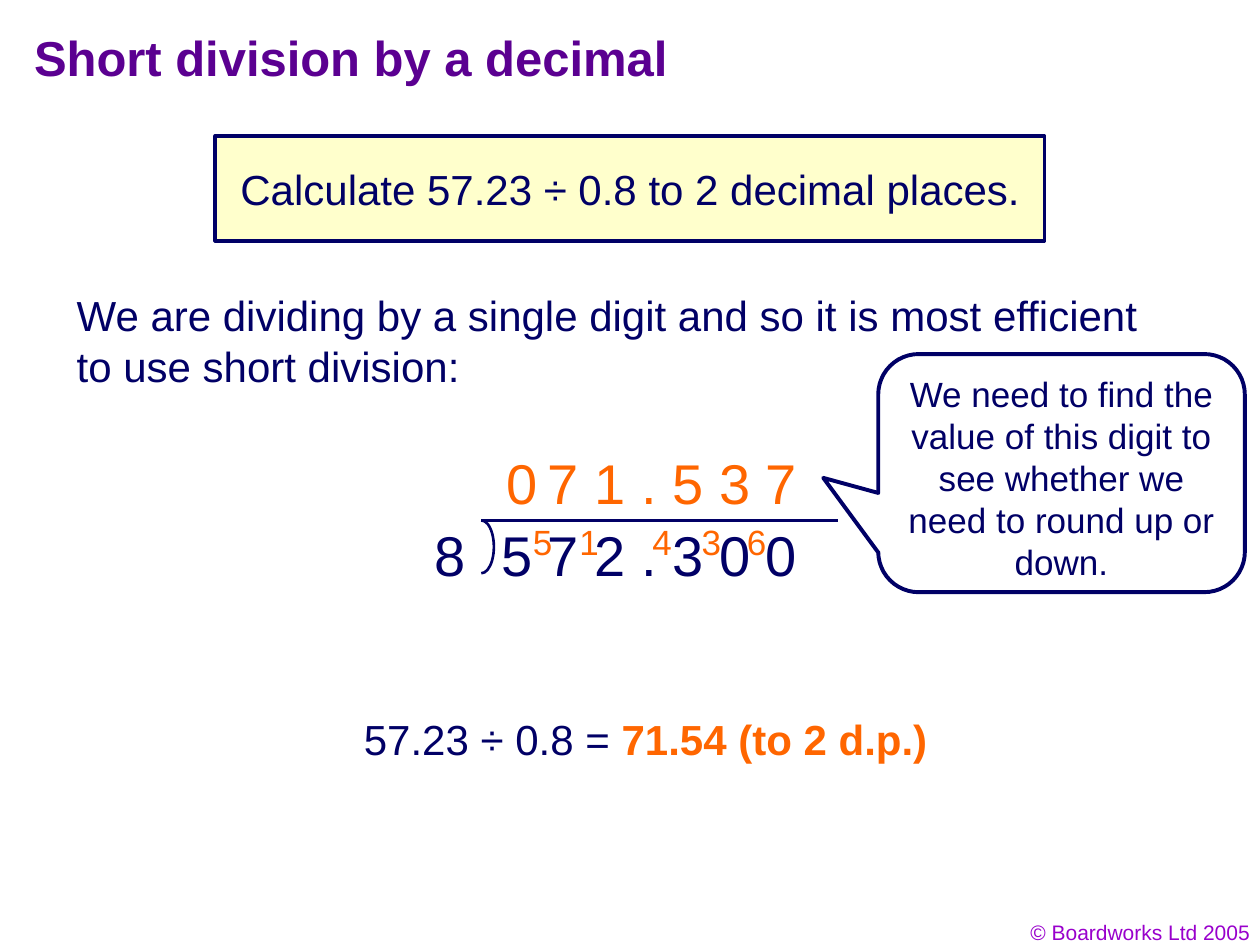
from dataclasses import dataclass

from lxml.etree import SubElement
from pptx import Presentation
from pptx.dml.color import RGBColor
from pptx.enum.shapes import MSO_CONNECTOR as Connector, MSO_SHAPE as Shape
from pptx.enum.text import MSO_ANCHOR as Anchor, MSO_AUTO_SIZE as AutoSize, PP_ALIGN as Align
from pptx.oxml.ns import qn
from pptx.util import Pt

EMU_PER_PX = 9144  # 100 px to the inch
TITLE_ONLY = 5


@dataclass(frozen=True)
class Theme:
    font: str = "Arial"
    ink: str = "010066"
    border: str = "000066"
    title: str = "5B0091"
    accent: str = "FF6600"
    credit: str = "9900CC"
    panel: str = "FFFFCC"
    paper: str = "FFFFFF"
    title_size: int = 28
    digit_size: int = 32
    body_size: int = 24
    note_size: int = 20
    credit_size: int = 12
    border_width: float = 2.25
    rule_width: float = 1.5


THEME = Theme()


def px(*lengths):
    return [length * EMU_PER_PX for length in lengths]


def color(value):
    return RGBColor.from_string(value)


def write(shape, *runs, align=Align.LEFT, **frame_format):
    """Fill a shape with one paragraph of (text, size, color, bold) runs."""
    frame = shape.text_frame
    frame_values = {"word_wrap": True, "vertical_anchor": Anchor.TOP, **frame_format}
    for name, value in frame_values.items():
        setattr(frame, name, value)
    paragraph = frame.paragraphs[0]
    paragraph.alignment = align
    for text, size, ink, bold in runs:
        run = paragraph.add_run()
        run.text = text
        run.font.color.rgb = color(ink)
        font_values = {"name": THEME.font, "size": Pt(size), "bold": bold}
        for name, value in font_values.items():
            setattr(run.font, name, value)


def add_label(shapes, box, *runs, wrap=False, **options):
    write(shapes.add_textbox(*px(*box)), *runs, word_wrap=wrap,
          auto_size=AutoSize.SHAPE_TO_FIT_TEXT, **options)


def add_panel(shapes, kind, box, fill=None, line=None, width=THEME.border_width):
    panel = shapes.add_shape(kind, *px(*box))
    panel.shadow.inherit = False
    for part, value in ((panel.fill, fill), (panel.line.fill, line)):
        if value:
            part.solid()
            part.fore_color.rgb = color(value)
        else:
            part.background()
    if line:
        panel.line.width = Pt(width)
    return panel


def add_title(slide, box, text):
    title = slide.shapes.title
    title.left, title.top, title.width, title.height = px(*box)
    write(title, (text, THEME.title_size, THEME.title, True))


def add_question(shapes, box, text):
    left, top, width, height = box
    add_panel(shapes, Shape.RECTANGLE, box, THEME.panel, THEME.border)
    inner = add_panel(shapes, Shape.RECTANGLE,
                      (left + 10, top + 17, width - 14, 50), THEME.panel)
    write(inner, (text, THEME.body_size, THEME.ink, False))


def add_digit(shapes, left, top, digit, ink):
    width = 32 if digit == "." else 45
    add_label(shapes, (left, top, width, 64), (digit, THEME.digit_size, ink, False))


def add_division_frame(shapes, left, top):
    """Draw the divisor, the bracket with its bar, and the dividend."""
    add_label(shapes, (left + 53, top, 181, 64),
              ("5 7 2 . 3", THEME.digit_size, THEME.ink, False))
    bracket = add_panel(shapes, Shape.RIGHT_BRACKET, (left + 47, top + 5, 10, 42),
                        line=THEME.ink, width=THEME.rule_width)
    bracket.adjustments[0] = 2.1
    bar = shapes.add_connector(
        Connector.STRAIGHT, *px(left + 47, top + 5, left + 330, top + 5))
    bar.line.color.rgb = color(THEME.ink)
    bar.line.width = Pt(THEME.rule_width)
    SubElement(bar._element.spPr, qn("a:effectLst"))
    add_digit(shapes, left, top, "8", THEME.ink)


def add_short_division(shapes, box):
    """Set out the quotient, the dividend and its carries inside the box."""
    left, top = box[:2]
    dividend_top = top + 57
    add_division_frame(shapes.add_group_shape().shapes, left, dividend_top)
    columns = (57, 90, 127, 164, 189, 226, 263)
    for digit, column in zip("071.537", columns):
        add_digit(shapes, left + column, top, digit, THEME.accent)
    for column in columns[-2:]:
        add_digit(shapes, left + column, dividend_top, "0", THEME.ink)
    for carry, column in zip("51436", (78, 115, 173, 212, 248)):
        add_label(shapes, (left + column, dividend_top, 35, 44),
                  (carry, THEME.note_size, THEME.accent, False))


def add_callout(shapes, box, text):
    callout = add_panel(shapes, Shape.ROUNDED_RECTANGULAR_CALLOUT, box,
                        THEME.paper, THEME.border)
    for index, value in enumerate((-0.65, 0.02, 0.17)):
        callout.adjustments[index] = value
    write(callout, (text, THEME.note_size, THEME.ink, False), align=Align.CENTER)


def main():
    presentation = Presentation()
    presentation.slide_width, presentation.slide_height = px(1000, 750)
    slide = presentation.slides.add_slide(presentation.slide_layouts[TITLE_ONLY])
    shapes = slide.shapes

    add_title(slide, (17, 17, 664, 67), "Short division by a decimal")
    add_label(shapes, (769, 725, 233, 30),
              ("© Boardworks Ltd 2005", THEME.credit_size, THEME.credit, False),
              wrap=True, align=Align.RIGHT)
    add_label(shapes, (51, 225, 898, 90),
              ("We are dividing by a single digit and so it is most efficient "
               "to use short division:", THEME.body_size, THEME.ink, False), wrap=True)
    add_question(shapes, (171, 108, 658, 83),
                 "Calculate 57.23 ÷ 0.8 to 2 decimal places.")
    add_short_division(shapes, (335, 351, 330, 121))
    add_label(shapes, (279, 561, 467, 50),
              ("57.23 ÷ 0.8 = ", THEME.body_size, THEME.ink, False),
              ("71.54 (to 2 d.p.)", THEME.body_size, THEME.accent, True))
    add_callout(shapes, (697, 281, 291, 189),
                "We need to find the value of this digit to see whether we "
                "need to round up or down.")
    presentation.save("out.pptx")


if __name__ == "__main__":
    main()
